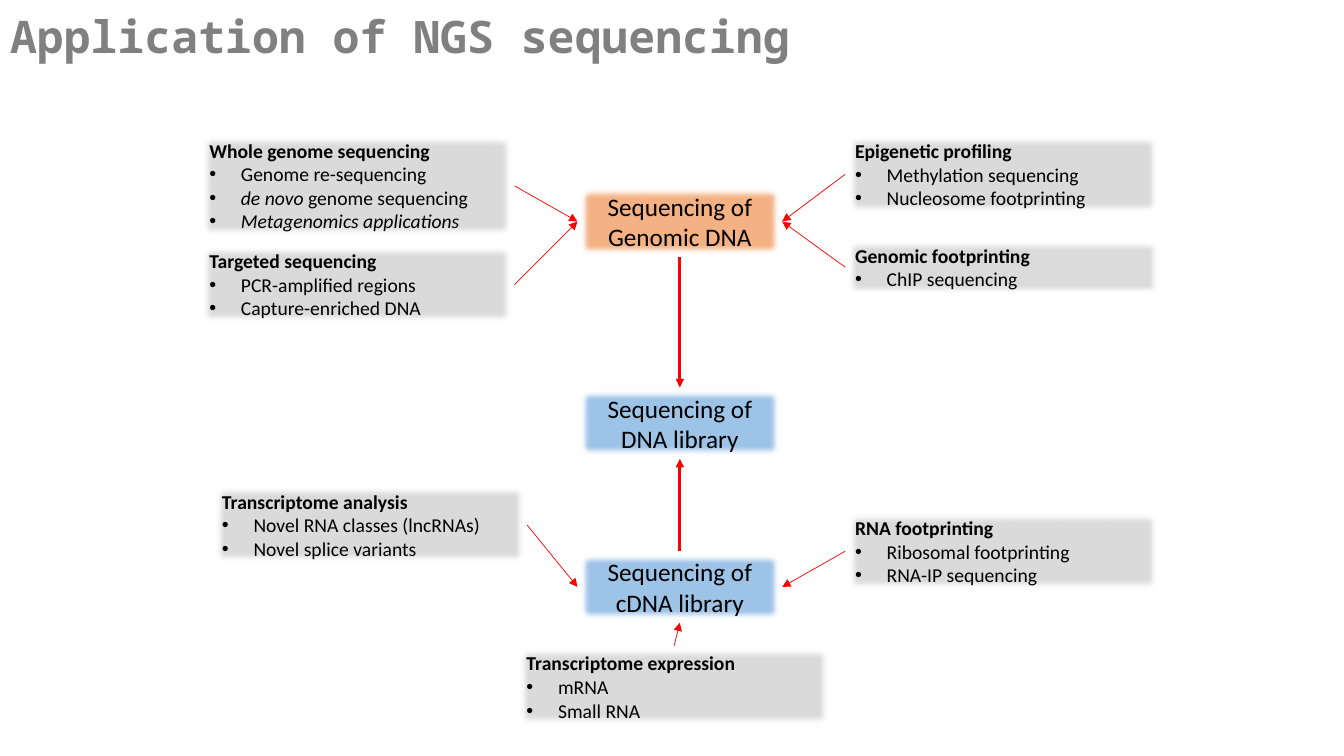
from dataclasses import dataclass

from lxml.etree import SubElement
from pptx import Presentation
from pptx.dml.color import RGBColor
from pptx.enum.shapes import MSO_CONNECTOR as Connector, MSO_SHAPE as Shape
from pptx.enum.text import MSO_ANCHOR as Anchor, MSO_AUTO_SIZE as AutoSize, PP_ALIGN as Align
from pptx.oxml.ns import qn
from pptx.util import Pt

PX = 9525  # EMU per px, 96 px to the inch
TOP, LEFT, BOTTOM, RIGHT = range(4)  # connection sites of a rectangle
HUB_SIZE = (195, 68)
TOPIC_WIDTH = 300


@dataclass(frozen=True)
class Theme:
    title_font: str = "Noto Sans Mono"
    body_font: str = "Calibri"
    title_size: int = 32
    hub_size: int = 18
    topic_size: int = 14
    title: str = "808080"
    text: str = "000000"
    genomic: str = "F4B183"
    library: str = "9DC3E6"
    topic: str = "DBDBDB"
    arrow: str = "FF0000"
    thin: float = 0.5
    thick: float = 2


THEME = Theme()

# name: (left, top, second line, fill)
HUBS = {
    "genomic": (550, 177, "Genomic DNA", THEME.genomic),
    "library": (550, 369, "DNA library", THEME.library),
    "cdna": (550, 525, "cDNA library", THEME.library),
}

# (left, top, heading, items as (italic part, plain part), hub, topic site, hub site)
TOPICS = [
    (190, 127, "Whole genome sequencing",
     [("", "Genome re-sequencing"), ("de novo ", "genome sequencing"),
      ("Metagenomics applications", "")], "genomic", RIGHT, LEFT),
    (190, 232, "Targeted sequencing",
     [("", "PCR-amplified regions"), ("", "Capture-enriched DNA")], "genomic", RIGHT, LEFT),
    (805, 127, "Epigenetic profiling",
     [("", "Methylation sequencing"), ("", "Nucleosome footprinting")], "genomic", LEFT, RIGHT),
    (805, 227, "Genomic footprinting", [("", "ChIP sequencing")], "genomic", LEFT, RIGHT),
    (202, 461, "Transcriptome analysis",
     [("", "Novel RNA classes (lncRNAs)"), ("", "Novel splice variants")], "cdna", RIGHT, LEFT),
    (805, 486, "RNA footprinting",
     [("", "Ribosomal footprinting"), ("", "RNA-IP sequencing")], "cdna", LEFT, RIGHT),
    (492, 615, "Transcriptome expression",
     [("", "mRNA"), ("", "Small RNA")], "cdna", TOP, BOTTOM),
]


def style_font(font, name, size, color, bold=False):
    font.name = name
    font.size = Pt(size)
    font.bold = bold
    font.color.rgb = RGBColor.from_string(color)


def add_soft_box(slide, box, fill):
    """Add a borderless rectangle with blurred edges."""
    shape = slide.shapes.add_shape(Shape.RECTANGLE, *(length * PX for length in box))
    shape.fill.solid()
    shape.fill.fore_color.rgb = RGBColor.from_string(fill)
    shape.line.fill.background()
    shape.shadow.inherit = False
    effects = shape._element.spPr.find(qn("a:effectLst"))
    SubElement(effects, qn("a:softEdge"), rad=str(Pt(5)))
    shape.text_frame.word_wrap = True
    shape.text_frame.auto_size = AutoSize.SHAPE_TO_FIT_TEXT
    return shape


def add_hub(slide, left, top, subject, fill):
    shape = add_soft_box(slide, (left, top, *HUB_SIZE), fill)
    shape.text_frame.text = f"Sequencing of\n{subject}"
    for paragraph in shape.text_frame.paragraphs:
        paragraph.alignment = Align.CENTER
        style_font(paragraph.runs[0].font, THEME.body_font, THEME.hub_size, THEME.text)
    return shape


def add_bullet(paragraph):
    properties = paragraph._p.get_or_add_pPr()
    properties.set("marL", str(30 * PX))
    properties.set("indent", str(-30 * PX))
    SubElement(properties, qn("a:buFont"), typeface="Arial")
    SubElement(properties, qn("a:buChar"), char="•")


def add_topic(slide, left, top, heading, items):
    height = 10 + round(22.5 * (1 + len(items)))
    shape = add_soft_box(slide, (left, top, TOPIC_WIDTH, height), THEME.topic)
    text_frame = shape.text_frame
    text_frame.text = heading
    first = text_frame.paragraphs[0]
    first.alignment = Align.LEFT
    style_font(first.runs[0].font, THEME.body_font, THEME.topic_size, THEME.text, bold=True)
    for item in items:
        paragraph = text_frame.add_paragraph()
        paragraph.alignment = Align.LEFT
        add_bullet(paragraph)
        for text, italic in zip(item, (True, False)):
            if text:
                run = paragraph.add_run()
                run.text = text
                style_font(run.font, THEME.body_font, THEME.topic_size, THEME.text)
                run.font.italic = italic
    return shape


def add_arrow(slide, source, source_site, target, target_site, width):
    arrow = slide.shapes.add_connector(Connector.STRAIGHT, 0, 0, 0, 0)
    arrow.begin_connect(source, source_site)
    arrow.end_connect(target, target_site)
    arrow.line.color.rgb = RGBColor.from_string(THEME.arrow)
    arrow.line.width = Pt(width)
    properties = arrow._element.spPr
    SubElement(properties.find(qn("a:ln")), qn("a:tailEnd"), type="triangle")
    SubElement(properties, qn("a:effectLst"))


def set_title(slide, box, text):
    title = slide.shapes.title
    title.left, title.top, title.width, title.height = (length * PX for length in box)
    text_frame = title.text_frame
    text_frame.text = text
    text_frame.word_wrap = True
    text_frame.auto_size = AutoSize.NONE
    text_frame.vertical_anchor = Anchor.TOP
    paragraph = text_frame.paragraphs[0]
    paragraph.alignment = Align.LEFT
    paragraph.line_spacing = 0.9
    style_font(paragraph.runs[0].font, THEME.title_font, THEME.title_size, THEME.title, bold=True)


def add_sequencing_map(slide):
    hubs = {name: add_hub(slide, *hub) for name, hub in HUBS.items()}
    for left, top, heading, items, hub, topic_site, hub_site in TOPICS:
        topic = add_topic(slide, left, top, heading, items)
        add_arrow(slide, topic, topic_site, hubs[hub], hub_site, THEME.thin)
    add_arrow(slide, hubs["genomic"], BOTTOM, hubs["library"], TOP, THEME.thick)
    add_arrow(slide, hubs["cdna"], TOP, hubs["library"], BOTTOM, THEME.thick)


def main():
    presentation = Presentation()
    presentation.slide_width = 1280 * PX
    presentation.slide_height = 720 * PX
    slide = presentation.slides.add_slide(presentation.slide_layouts.get_by_name("Title Only"))
    set_title(slide, (0, 9, 1263, 132), "Application of NGS sequencing")
    add_sequencing_map(slide)
    presentation.save("out.pptx")


if __name__ == "__main__":
    main()
